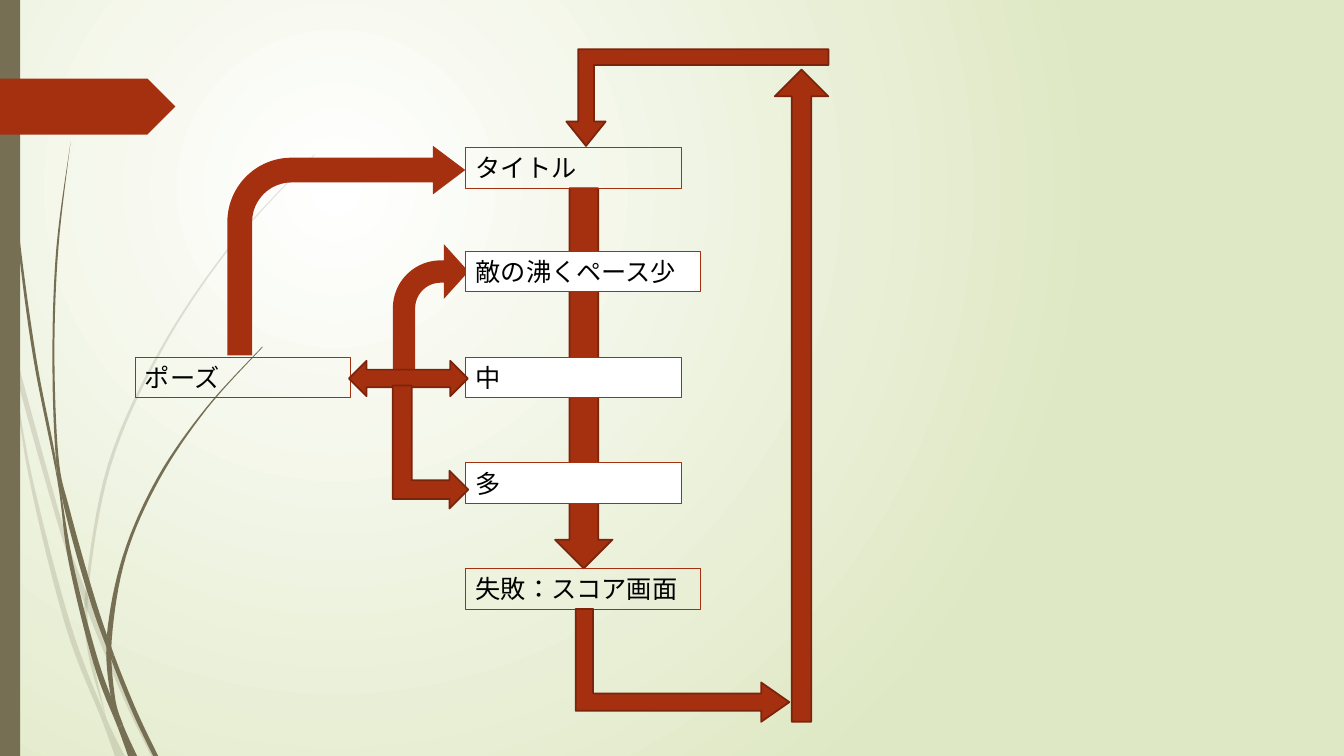
from lxml.etree import SubElement
from pptx import Presentation
from pptx.dml.color import RGBColor
from pptx.enum.lang import MSO_LANGUAGE_ID
from pptx.enum.shapes import MSO_SHAPE
from pptx.enum.text import MSO_ANCHOR, PP_ALIGN
from pptx.oxml.ns import qn
from pptx.util import Inches, Pt

WIDE, HIGH = Inches(13.333), Inches(7.5)
COL, ROW = WIDE / 100, HIGH / 100  # slide grid: 100 columns by 100 rows
FINE = Inches(0.01)  # finer grid for the grass blades

RUST = RGBColor(0xA5, 0x30, 0x10)
EDGE = RGBColor(0x7A, 0x24, 0x0C)
OLIVE = RGBColor(0x76, 0x6F, 0x54)
LIME = RGBColor(0xDF, 0xE8, 0xC4)
WHITE = RGBColor(0xFF, 0xFF, 0xFF)
BLACK = RGBColor(0x00, 0x00, 0x00)
FONT = "League Spartan"

LEFT, TALL = 34.66, 5.38
SLIM, BROAD = 16.07, 17.48
STEP = 14  # rows from one game stage to the next
MID = 47.23  # row of the middle stage

# Each blade: left edge, right edge, and the knots where it is cut.
PALE = [
    ([(0, 299), (17, 376), (58, 522), (84, 599), (123, 694), (150, 750)],
     [(0, 282), (14, 345), (62, 520), (85, 586), (127, 692), (155, 750)],
     [1, 3]),
    ([(11, 350), (28, 470), (65, 621), (101, 714), (114, 750)],
     [(11, 350), (31, 469), (70, 619), (105, 711), (124, 750)], [3]),
    ([(312, 153), (228, 244), (158, 348), (107, 461), (85, 584), (87, 646),
      (105, 711)],
     [(312, 154), (229, 245), (160, 349), (110, 462), (88, 584), (91, 646),
      (105, 711)], [4]),
]
DARK = [
    ([(3, 0), (7, 110), (17, 233), (33, 355), (57, 477), (68, 557),
      (93, 659), (117, 722), (127, 750)],
     [(4, 0), (8, 109), (19, 232), (36, 355), (55, 453), (72, 556),
      (98, 657), (122, 719), (136, 750)], [4, 7]),
    ([(70, 141), (56, 245), (52, 349), (55, 449), (64, 505), (88, 592),
      (111, 656), (132, 708), (152, 750)],
     [(70, 141), (58, 245), (54, 349), (58, 453), (69, 505), (93, 590),
      (113, 649), (136, 706), (157, 750)], [3, 6]),
    ([(260, 344), (204, 405), (156, 474), (122, 551), (106, 631), (110, 691),
      (122, 719)],
     [(261, 344), (205, 406), (158, 476), (125, 552), (111, 633), (114, 691),
      (122, 719)], [4]),
]
PARTS = 8  # steps between two knots


def curve(knots):
    """Points on a smooth curve that passes through the knots."""
    ends = [knots[0], *knots, knots[-1]]
    dots = []
    for a, b, c, d in zip(ends, ends[1:], ends[2:], ends[3:]):
        for t in (i / PARTS for i in range(PARTS)):
            dots.append(tuple(
                FINE * (q + t * (r - p) / 2
                        + t * t * (2 * p - 5 * q + 4 * r - s) / 2
                        + t ** 3 * (3 * q - p - 3 * r + s) / 2)
                for p, q, r, s in zip(a, b, c, d)))
    return dots + [tuple(FINE * q for q in knots[-1])]


def paint(shape, fill, line=None, width=1.25):
    shape.shadow.inherit = False
    if fill is None:
        shape.fill.background()
    else:
        shape.fill.solid()
        shape.fill.fore_color.rgb = fill
    if line is None:
        shape.line.fill.background()
    else:
        shape.line.color.rgb = line
        shape.line.width = Pt(width)


def add_blade(slide, left, right, cuts, alpha=None):
    stops = [0, *cuts, len(left) - 1]
    left, right = curve(left), curve(right)
    for top, end in zip(stops, stops[1:]):
        span = slice(top * PARTS, end * PARTS + 1)
        first, *rest = left[span] + right[span][::-1]
        pen = slide.shapes.build_freeform(*first)
        pen.add_line_segments(rest, close=True)
        blade = pen.convert_to_shape()
        paint(blade, OLIVE)
        if alpha:
            tint = blade.fill._xPr.find(qn("a:solidFill"))[0]
            SubElement(tint, qn("a:alpha"), val=str(alpha * 1000))


def add_form(slide, kind, place, fill=RUST, line=None, turn=0, adj=()):
    x, y, w, h = place
    form = slide.shapes.add_shape(kind, round(x * COL), round(y * ROW),
                                  round(w * COL), round(h * ROW))
    paint(form, fill, line)
    form.rotation = turn
    for i, share in enumerate(adj):
        form.adjustments[i] = share
    return form


def add_box(slide, text, x, y, w, fill=None):
    box = add_form(slide, MSO_SHAPE.RECTANGLE, (x, y, w, TALL), fill)
    paint(box, fill, RUST, 0.75)
    frame = box.text_frame
    frame.word_wrap = True
    frame.vertical_anchor = MSO_ANCHOR.TOP
    frame.text = text
    para = frame.paragraphs[0]
    para.alignment = PP_ALIGN.LEFT
    font = para.runs[0].font
    font.name, font.size, font.color.rgb = FONT, Pt(18), BLACK
    font.language_id = MSO_LANGUAGE_ID.JAPANESE


def add_glow(slide):
    """Fill the background with a round gradient."""
    fill = slide.background.fill
    fill.gradient()
    for stop, color, pos in zip(fill.gradient_stops, (WHITE, LIME), (0, 1)):
        stop.color.rgb = color
        stop.position = pos
    grad = slide.background._cSld.find(".//" + qn("a:gradFill"))
    grad.remove(grad.find(qn("a:lin")))
    ring = SubElement(grad, qn("a:path"), path="circle")
    SubElement(ring, qn("a:fillToRect"),
               l="50000", t="50000", r="100000", b="100000")


def add_decor(slide):
    add_glow(slide)
    for blade in PALE:
        add_blade(slide, *blade, alpha=20)
    for blade in DARK:
        add_blade(slide, *blade)
    add_form(slide, MSO_SHAPE.RECTANGLE, (0, 0, 1.5, 100), OLIVE)
    add_form(slide, MSO_SHAPE.PENTAGON, (0, 10.4, 13.05, 7.4))


def main():
    deck = Presentation()
    deck.slide_width, deck.slide_height = WIDE, HIGH
    slide = deck.slides.add_slide(deck.slide_layouts[6])
    add_decor(slide)

    add_form(slide, MSO_SHAPE.RIGHT_ARROW, (29.3, 46.25, 28.28, 7.6),
             line=EDGE, turn=90)
    add_form(slide, MSO_SHAPE.BENT_ARROW, (29.23, 32.3, 5.63, 16.8),
             adj=(0.295, 0.362, 0.326, 0.632))

    add_box(slide, "ポーズ", 10.05, MID, SLIM)
    add_box(slide, "タイトル", LEFT, 19.5, SLIM)
    stages = [("敵の沸くペース少", BROAD, WHITE), ("中", SLIM, WHITE),
              ("多", SLIM, WHITE), ("失敗：スコア画面", BROAD, None)]
    for i, (text, w, fill) in enumerate(stages, -1):
        add_box(slide, text, LEFT, MID + i * STEP, w, fill)

    bend = MSO_SHAPE.BENT_UP_ARROW
    add_form(slide, bend, (46.58, 73.87, 8.4, 28.27), line=EDGE, turn=90,
             adj=(0.154, 0.174, 0.25))
    add_form(slide, bend, (42.14, 6.5, 19.5, 12.8), line=EDGE, turn=180,
             adj=(0.163, 0.203, 0.252))
    add_form(slide, MSO_SHAPE.UP_ARROW, (57.65, 9.2, 3.98, 86.27), line=EDGE,
             adj=(0.366, 0.5))
    add_form(slide, MSO_SHAPE.LEFT_RIGHT_ARROW, (25.96, 47.73, 8.85, 4.67),
             line=EDGE)
    add_form(slide, bend, (27.46, 54.13, 9.15, 10), line=EDGE, turn=90)
    add_form(slide, MSO_SHAPE.BENT_ARROW, (16.92, 19.28, 17.7, 27.73),
             adj=(0.118, 0.116, 0.154, 0.306))
    deck.save("out.pptx")


if __name__ == "__main__":
    main()
